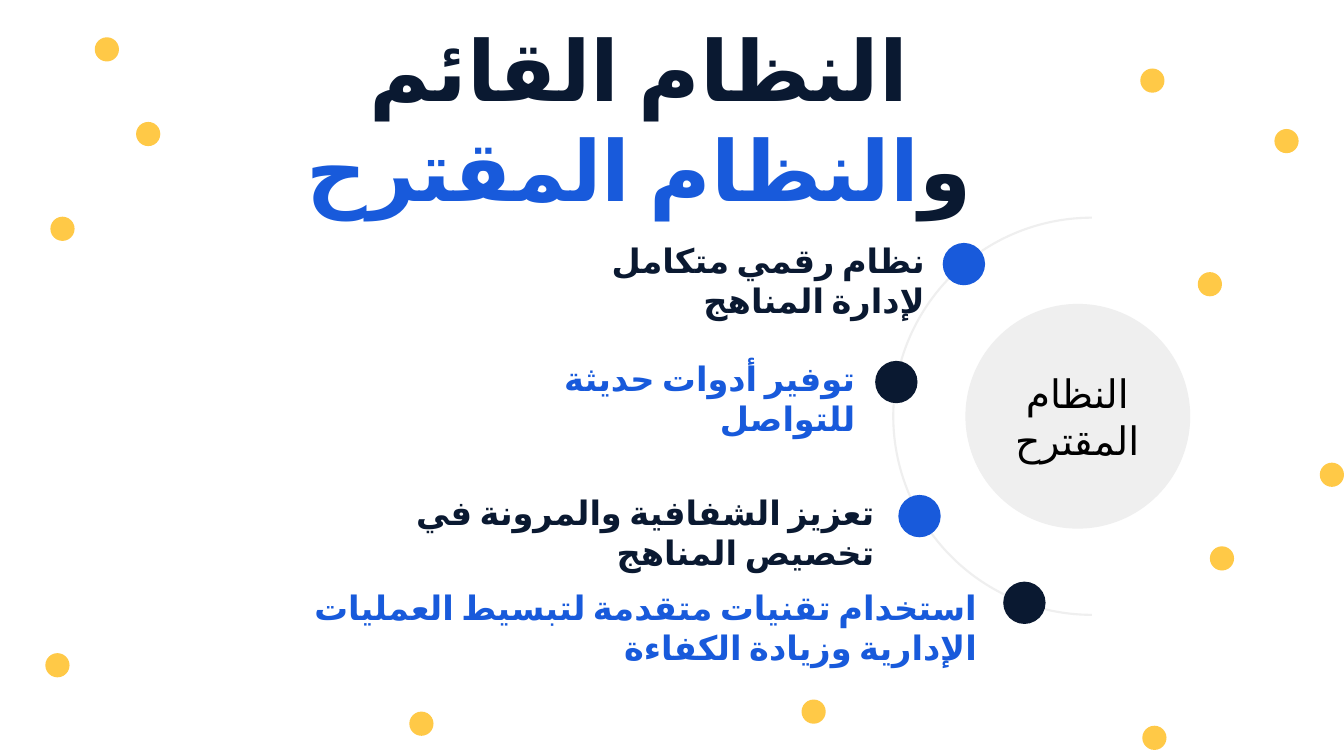
from dataclasses import dataclass

from lxml.etree import SubElement
from pptx import Presentation
from pptx.dml.color import RGBColor
from pptx.enum.lang import MSO_LANGUAGE_ID
from pptx.enum.shapes import MSO_SHAPE
from pptx.enum.text import MSO_ANCHOR, MSO_AUTO_SIZE, PP_ALIGN
from pptx.oxml.ns import qn
from pptx.util import Inches, Pt


@dataclass(frozen=True)
class Theme:
    font: str = "Calibri"
    navy: str = "0A1931"
    blue: str = "185ADB"
    yellow: str = "FFC947"
    gray: str = "EFEFEF"
    black: str = "000000"
    title_size: int = 60
    hub_size: int = 28
    feature_size: int = 24


def add_run(paragraph, text, *, font, size, color, bold=False):
    run = paragraph.add_run()
    run.text = text
    run.font.name = font
    run.font.size = Pt(size)
    run.font.bold = bold
    run.font.color.rgb = RGBColor.from_string(color)
    run.font.language_id = MSO_LANGUAGE_ID.ARABIC
    SubElement(run.font._element, qn("a:cs"), typeface=font)


class SlideBuilder:
    def __init__(self, slide, theme):
        self.slide = slide
        self.theme = theme

    def fill_text(self, frame, parts, size, align, bold=True):
        frame.word_wrap = True
        frame.auto_size = MSO_AUTO_SIZE.SHAPE_TO_FIT_TEXT
        frame.vertical_anchor = MSO_ANCHOR.TOP
        paragraph = frame.paragraphs[0]
        paragraph.alignment = align
        paragraph._p.get_or_add_pPr().set("rtl", "1")
        for text, color in parts:
            add_run(paragraph, text, font=self.theme.font, size=size,
                    color=color, bold=bold)

    def title(self, parts, left, top, width, height):
        heading = self.slide.shapes.title
        heading.left, heading.top = Inches(left), Inches(top)
        heading.width, heading.height = Inches(width), Inches(height)
        self.fill_text(heading.text_frame, parts, self.theme.title_size,
                       PP_ALIGN.CENTER)

    def label(self, text, color, left, top, width, height, size, align, bold=True):
        box = self.slide.shapes.add_textbox(
            Inches(left), Inches(top), Inches(width), Inches(height))
        self.fill_text(box.text_frame, [(text, color)], size, align, bold)

    def round_shape(self, kind, center, diameter):
        x, y = center
        shape = self.slide.shapes.add_shape(
            kind, Inches(x - diameter / 2), Inches(y - diameter / 2),
            Inches(diameter), Inches(diameter))
        shape.shadow.inherit = False
        return shape

    def disc(self, center, diameter, color):
        disc = self.round_shape(MSO_SHAPE.OVAL, center, diameter)
        disc.fill.solid()
        disc.fill.fore_color.rgb = RGBColor.from_string(color)
        disc.line.fill.background()

    def left_arc(self, center, diameter, color):
        arc = self.round_shape(MSO_SHAPE.ARC, center, diameter)
        arc.adjustments[0] = 54.0
        arc.adjustments[1] = 162.0
        arc.fill.background()
        arc.line.color.rgb = RGBColor.from_string(color)
        arc.line.width = Pt(1.5)


def main():
    theme = Theme()
    deck = Presentation()
    deck.slide_width, deck.slide_height = Inches(13.33), Inches(7.5)
    builder = SlideBuilder(deck.slides.add_slide(deck.slide_layouts[5]), theme)

    confetti = [
        (0.62, 2.27), (1.06, 0.49), (1.47, 1.33), (4.18, 7.18),
        (0.57, 6.6), (8.07, 7.06), (13.21, 4.71), (12.12, 5.54),
        (12, 2.82), (11.43, 0.8), (12.76, 1.4), (11.45, 7.32),
    ]
    for center in confetti:
        builder.disc(center, 0.24, theme.yellow)

    builder.title([("النظام القائم و", theme.navy), ("النظام المقترح", theme.blue)],
                  2.19, 0.12, 8.3, 1.11)

    hub = (10.69, 4.13)
    builder.disc(hub, 2.23, theme.gray)
    builder.left_arc((10.83, 4.13), 3.94, theme.gray)

    features = [
        ("نظام رقمي متكامل لإدارة المناهج", theme.navy, theme.blue,
         (5.39, 2.33, 3.88), (9.56, 2.62)),
        ("توفير أدوات حديثة للتواصل", theme.blue, theme.navy,
         (5.13, 3.5, 3.45), (8.89, 3.79)),
        ("تعزيز الشفافية والمرونة في تخصيص المناهج", theme.navy, theme.blue,
         (3.42, 4.83, 5.35), (9.12, 5.12)),
        ("استخدام تقنيات متقدمة لتبسيط العمليات الإدارية وزيادة الكفاءة",
         theme.blue, theme.navy, (2.24, 5.77, 7.55), (10.16, 5.98)),
    ]
    for text, text_color, marker_color, place, marker in features:
        builder.disc(marker, 0.42, marker_color)
        builder.label(text, text_color, *place, 0.5,
                      theme.feature_size, PP_ALIGN.RIGHT)

    builder.label("النظام المقترح", theme.black, 9.7, 3.61, 1.97, 1.04,
                  theme.hub_size, PP_ALIGN.CENTER, bold=False)

    deck.save("out.pptx")


if __name__ == "__main__":
    main()
